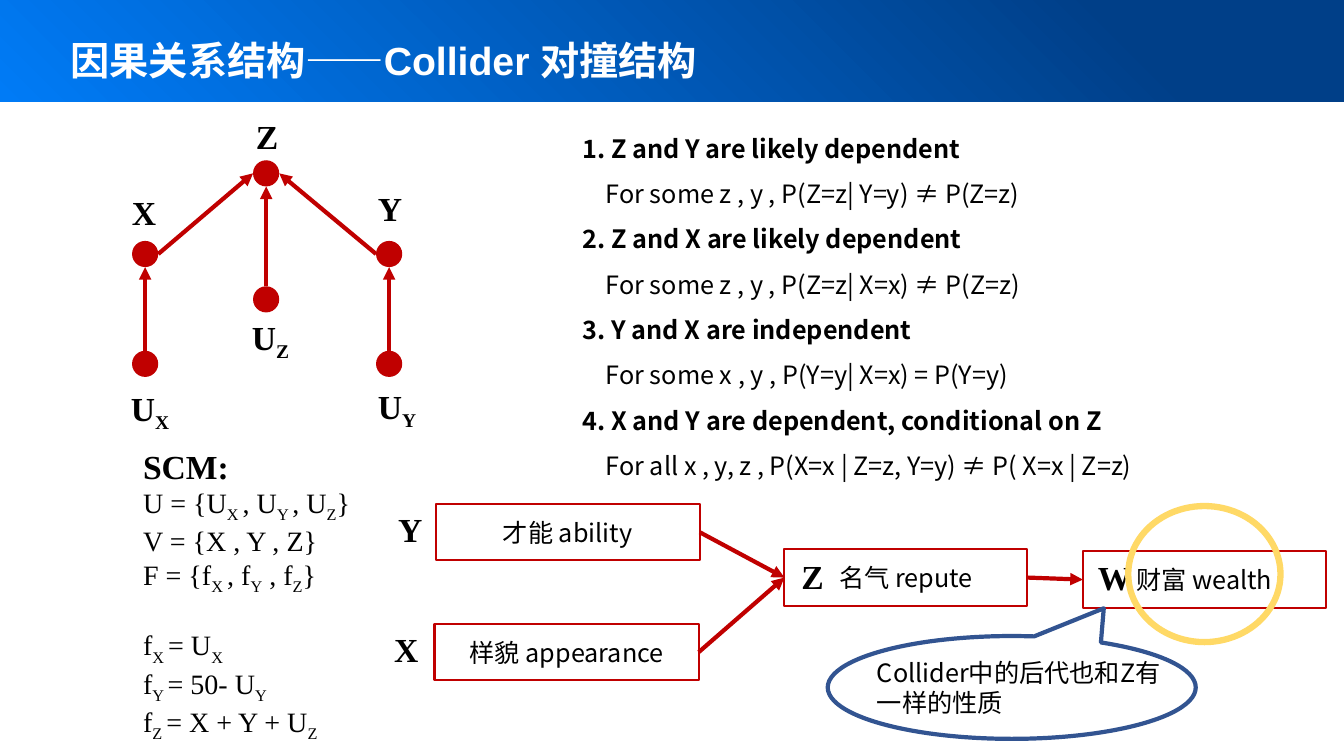
from lxml.etree import SubElement
from pptx import Presentation
from pptx.dml.color import RGBColor
from pptx.enum.shapes import MSO_CONNECTOR, MSO_SHAPE
from pptx.enum.text import MSO_ANCHOR, MSO_AUTO_SIZE, PP_ALIGN
from pptx.oxml.ns import qn
from pptx.util import Inches, Pt

# Content; text between two "~" marks is subscript
TITLE = "因果关系结构——Collider 对撞结构"
NODES = {  # centre x, centre y, label left, label top
    "X": (1.44, 2.52, 1.21, 1.85),
    "Z": (2.64, 1.72, 2.44, 1.1),
    "Y": (3.86, 2.52, 3.65, 1.82),
    "U~X~": (1.44, 3.61, 1.2, 3.8),
    "U~Z~": (2.64, 2.97, 2.4, 3.09),
    "U~Y~": (3.86, 3.61, 3.65, 3.78),
}
EDGES = [("U~X~", "X"), ("U~Z~", "Z"), ("U~Y~", "Y"), ("X", "Z"), ("Y", "Z")]
SCM_SETS = ["U = {U~X ~, U~Y ~, U~Z~}", "V = {X , Y , Z}",
            "F = {f~X ~, f~Y~ , f~Z~}"]
SCM_FUNCTIONS = ["f~X ~= U~X~", "f~Y ~= 50- U~Y~", "f~Z ~= X + Y + U~Z~"]
RULES = [
    ("1. Z and Y are likely dependent", "For some z , y , P(Z=z| Y=y) ≠ P(Z=z)"),
    ("2. Z and X are likely dependent", "For some z , y , P(Z=z| X=x) ≠ P(Z=z)"),
    ("3. Y and X are independent", "For some x , y , P(Y=y| X=x) = P(Y=y)"),
    ("4. X and Y are dependent, conditional on Z",
     "For all x , y, z , P(X=x | Z=z, Y=y) ≠ P( X=x | Z=z)"),
]
EXAMPLE = {  # text, box left, top, width, label left, top
    "Y": ("才能 ability", 4.32, 5, 2.62, 3.85, 5),
    "X": ("样貌 appearance", 4.31, 6.19, 2.62, 3.81, 6.19),
    "Z": ("名气 repute", 7.78, 5.45, 2.41, 7.85, 5.47),
    "W": ("财富 wealth", 10.74, 5.47, 2.41, 10.79, 5.48),
}
EXAMPLE_LINKS = [("Y", "Z"), ("X", "Z"), ("Z", "W")]
NOTE = "Collider中的后代也和Z有一样的性质"

RED = RGBColor(0xC0, 0, 0)
BLACK = RGBColor(0, 0, 0)
WHITE = RGBColor(0xFF, 0xFF, 0xFF)
NAVY = RGBColor(0x00, 0x3F, 0x88)
AZURE = RGBColor(0x00, 0x7B, 0xF6)
YELLOW = RGBColor(0xFF, 0xD9, 0x66)
CALLOUT_BLUE = RGBColor(0x32, 0x54, 0x91)
SERIF, SANS = "Times New Roman", "Noto Sans CJK SC"
RADIUS, BOX_HEIGHT, INDENT = 0.13, 0.56, 0.23

deck = Presentation()
deck.slide_width, deck.slide_height = Inches(13.33), Inches(7.5)
slide = deck.slides.add_slide(deck.slide_layouts[5])
shapes = slide.shapes


def write(paragraph, text, size, face, bold=False, color=BLACK):
    for i, piece in enumerate(text.split("~")):
        if piece:
            run = paragraph.add_run()
            run.text = piece
            if i % 2:
                run.font._element.set("baseline", "-25000")
    font = paragraph.font
    font.size, font.name, font.bold = Pt(size), face, bold
    font.color.rgb = color
    SubElement(font._element, qn("a:ea"), typeface=SANS)


def add_text(left, top, width, height, lines, wrap=True):
    """Each line is a tuple of text, size, face and bold."""
    frame = shapes.add_textbox(*map(Inches, (left, top, width, height))).text_frame
    frame.word_wrap = wrap
    for i, line in enumerate(lines):
        write(frame.add_paragraph() if i else frame.paragraphs[0], *line)
    return frame


def add_label(text, left, top):
    add_text(left, top, 0.6 if "~" in text else 0.45, 0.5,
             [(text, 24, SERIF, True)], wrap=False)


def add_outline(kind, left, top, width, height, color, weight):
    shape = shapes.add_shape(kind, *map(Inches, (left, top, width, height)))
    shape.shadow.inherit = False
    shape.fill.background()
    shape.line.color.rgb, shape.line.width = color, Pt(weight)
    return shape


def add_arrow(x1=0, y1=0, x2=0, y2=0):
    arrow = shapes.add_connector(MSO_CONNECTOR.STRAIGHT,
                                 *map(Inches, (x1, y1, x2, y2)))
    arrow.line.color.rgb, arrow.line.width = RED, Pt(3)
    SubElement(arrow.line._get_or_add_ln(), qn("a:tailEnd"), type="triangle")
    SubElement(arrow.element.spPr, qn("a:effectLst"))
    return arrow


# Title on its gradient band
title = shapes.title
title.left, title.top, title.width, title.height = map(Inches, (0.6, 0.31, 7.58, 0.57))
title.text_frame.auto_size = MSO_AUTO_SIZE.NONE
title.text_frame.vertical_anchor = MSO_ANCHOR.MIDDLE
title.text_frame.paragraphs[0].alignment = PP_ALIGN.LEFT
write(title.text_frame.paragraphs[0], TITLE, 28, "Arial", True, WHITE)

band = shapes.add_shape(MSO_SHAPE.RECTANGLE, 0, 0, deck.slide_width, Inches(1.01))
band.shadow.inherit = False
band.line.fill.background()
band.fill.gradient()
band.fill.gradient_angle = 225
for stop, color, position in zip(band.fill.gradient_stops, (NAVY, AZURE), (0.17, 1)):
    stop.color.rgb, stop.position = color, position
title.element.addprevious(band.element)

# Causal graph
for label, (x, y, label_left, label_top) in NODES.items():
    node = shapes.add_shape(MSO_SHAPE.OVAL, Inches(x - RADIUS), Inches(y - RADIUS),
                            Inches(2 * RADIUS), Inches(2 * RADIUS))
    node.shadow.inherit = False
    node.fill.solid()
    node.fill.fore_color.rgb = RED
    node.line.fill.background()
    add_label(label, label_left, label_top)
for cause, effect in EDGES:
    (x1, y1), (x2, y2) = NODES[cause][:2], NODES[effect][:2]
    if x1 == x2:
        add_arrow(x1, y1 - RADIUS, x2, y2 + RADIUS)
    else:
        side = RADIUS if x2 > x1 else -RADIUS
        add_arrow(x1 + side, y1, x2 - side, y2)

# Structural causal model
scm = add_text(1.32, 4.37, 3.49, 2.86, [("SCM:", 24, SERIF, True)] + [
    (line, 20, SERIF) for line in SCM_SETS + SCM_FUNCTIONS])
scm.paragraphs[1 + len(SCM_SETS)].space_before = Pt(23)

# Dependence rules, each with an indented formula
rules = add_text(5.68, 1.12, 6.33, 3.68, [
    (line, 18, SANS, i == 0) for rule in RULES for i, line in enumerate(rule)], wrap=False)
for i, paragraph in enumerate(rules.paragraphs):
    paragraph.line_spacing = 1.5
    if i % 2:
        paragraph._p.get_or_add_pPr().set("marL", str(Inches(INDENT)))

# Worked example
boxes = {}
for label, (text, left, top, width, label_left, label_top) in EXAMPLE.items():
    box = add_outline(MSO_SHAPE.RECTANGLE, left, top, width, BOX_HEIGHT, RED, 1.5)
    box.text_frame.vertical_anchor = MSO_ANCHOR.MIDDLE
    box.text_frame.paragraphs[0].alignment = PP_ALIGN.CENTER
    write(box.text_frame.paragraphs[0], text, 18, SANS)
    add_label(label, label_left, label_top)
    boxes[label] = box
for cause, effect in EXAMPLE_LINKS:
    link = add_arrow()
    link.begin_connect(boxes[cause], 3)
    link.end_connect(boxes[effect], 1)

# Ring and callout on the descendant
add_outline(MSO_SHAPE.OVAL, 11.19, 5.02, 1.51, 1.35, YELLOW, 4.5)
callout = add_outline(MSO_SHAPE.OVAL_CALLOUT, 8.21, 6.31, 3.65, 1.02, CALLOUT_BLUE, 3)
callout.adjustments[0], callout.adjustments[1] = 0.25, -0.77
add_text(8.6, 6.47, 3.17, 0.71, [(NOTE, 18, SANS)])

deck.save("out.pptx")
